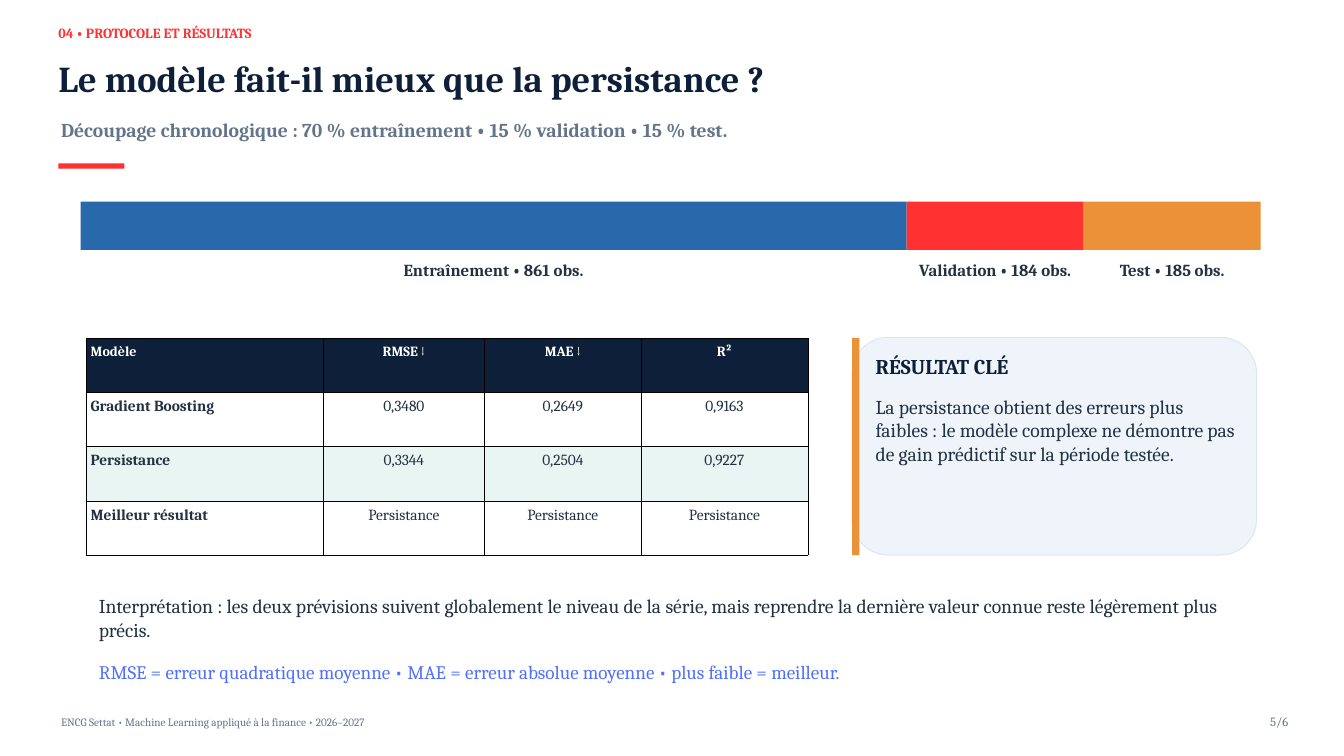
from pptx import Presentation
from pptx.dml.color import RGBColor
from pptx.enum.shapes import MSO_SHAPE
from pptx.enum.text import MSO_ANCHOR, MSO_AUTO_SIZE, PP_ALIGN
from pptx.oxml import parse_xml
from pptx.oxml.ns import nsdecls
from pptx.util import Inches, Pt

LEFT, CENTER, RIGHT = PP_ALIGN.LEFT, PP_ALIGN.CENTER, PP_ALIGN.RIGHT
TOP = MSO_ANCHOR.TOP
FIT = MSO_AUTO_SIZE.SHAPE_TO_FIT_TEXT
RECT, ROUNDED = MSO_SHAPE.RECTANGLE, MSO_SHAPE.ROUNDED_RECTANGLE
FONT = "Cambria"

COLORS = {
    "navy": "0D1F39", "ink": "233142", "grey": "64748B", "red": "FF3131",
    "blue": "2769AA", "orange": "EB9137", "note": "5170FF", "white": "FFFFFF",
    "mint": "E8F5F2", "card": "EEF4F9", "card_line": "DDE7F0", "black": "000000",
}

TITLE = "Le modèle fait-il mieux que la persistance ?"
TEXTS = [
    ("04 • PROTOCOLE ET RÉSULTATS", (0.87, 0.37, 16.43, 0.29), 15, "red", True, LEFT),
    ("Découpage chronologique : 70 % entraînement • 15 % validation • 15 % test.",
     (0.91, 1.76, 17.93, 0.4), 21, "grey", True, LEFT),
    ("RÉSULTAT CLÉ", (13.03, 5.26, 2.43, 0.43), 22.5, "navy", True, LEFT),
    ("La persistance obtient des erreurs plus faibles : le modèle complexe "
     "ne démontre pas de gain prédictif sur la période testée.",
     (13.03, 5.87, 5.4, 1.08), 21, "ink", False, LEFT),
    ("Interprétation : les deux prévisions suivent globalement le niveau de la série, "
     "mais reprendre la dernière valeur connue reste légèrement plus précis.",
     (1.47, 8.84, 16.88, 0.74), 21, "ink", False, LEFT),
    ("RMSE = erreur quadratique moyenne • MAE = erreur absolue moyenne • "
     "plus faible = meilleur.", (1.47, 9.82, 17.18, 0.39), 20.5, "note", False, LEFT),
    ("ENCG Settat • Machine Learning appliqué à la finance • 2026–2027",
     (0.91, 10.64, 14.93, 0.23), 12, "grey", False, LEFT),
    ("5/6", (18.67, 10.63, 0.5, 0.26), 13.5, "grey", False, RIGHT),
]
SPLIT = [
    ("Entraînement • 861 obs.", 0.70, "blue"),
    ("Validation • 184 obs.", 0.15, "red"),
    ("Test • 185 obs.", 0.15, "orange"),
]
SPLIT_LEFT, SPLIT_WIDTH, LABEL_INSET = 1.2, 17.56, 0.04
RESULTS = [
    ("Modèle", "RMSE ↓", "MAE ↓", "R²"),
    ("Gradient Boosting", "0,3480", "0,2649", "0,9163"),
    ("Persistance", "0,3344", "0,2504", "0,9227"),
    ("Meilleur résultat", "Persistance", "Persistance", "Persistance"),
]
ROW_FILLS = ["navy", "white", "mint", "white"]
COL_WIDTHS = [3.53, 2.4, 2.33, 2.48]
TABLE_BOX = (1.28, 5.03, sum(COL_WIDTHS), 3.23)


def rgb(name):
    return RGBColor.from_string(COLORS[name])


def inches(box):
    return [Inches(v) for v in box]


def write(tf, text, size, color, bold, align):
    p = tf.paragraphs[0]
    p.alignment = align
    p.line_spacing = Pt(size * 1.2)
    r = p.add_run()
    r.text = text
    r.font.name, r.font.size, r.font.bold = FONT, Pt(size), bold
    r.font.color.rgb = rgb(color)


def fill_box(sp, text, size, color, bold, align):
    tf = sp.text_frame
    tf.word_wrap, tf.auto_size, tf.vertical_anchor = True, FIT, TOP
    tf.margin_left = tf.margin_right = tf.margin_top = tf.margin_bottom = 0
    write(tf, text, size, color, bold, align)


def add_text(s, text, box, *style):
    fill_box(s.shapes.add_textbox(*inches(box)), text, *style)


def add_block(s, kind, box, fill, line=None):
    sp = s.shapes.add_shape(kind, *inches(box))
    sp.shadow.inherit = False
    sp.fill.solid()
    sp.fill.fore_color.rgb = rgb(fill)
    if line:
        sp.line.color.rgb = rgb(line)
        sp.line.width = Pt(1.13)
    else:
        sp.line.fill.background()


def add_borders(cell):
    tcPr = cell._tc.get_or_add_tcPr()
    for side in ("lnL", "lnR", "lnT", "lnB"):
        tcPr.append(parse_xml(
            f'<a:{side} {nsdecls("a")} w="{Pt(0.37)}"><a:solidFill>'
            f'<a:srgbClr val="{COLORS["black"]}"/></a:solidFill></a:{side}>'))


def add_results(s):
    table = s.shapes.add_table(len(RESULTS), len(COL_WIDTHS), *inches(TABLE_BOX)).table
    for col, width in zip(table.columns, COL_WIDTHS):
        col.width = Inches(width)
    for i, (row, fill) in enumerate(zip(RESULTS, ROW_FILLS)):
        size, color = (15, "white") if i == 0 else (16.5, "ink")
        for j, text in enumerate(row):
            cell = table.cell(i, j)
            cell.margin_left = cell.margin_right = Inches(0.07)
            cell.margin_top = cell.margin_bottom = Inches(0.07)
            cell.vertical_anchor = TOP
            add_borders(cell)
            cell.fill.solid()
            cell.fill.fore_color.rgb = rgb(fill)
            write(cell.text_frame, text, size, color, i == 0 or j == 0,
                  CENTER if j else LEFT)


def add_split(s):
    left = SPLIT_LEFT
    for label, share, color in SPLIT:
        width = SPLIT_WIDTH * share
        add_block(s, RECT, (left, 3, width, 0.72), color)
        add_text(s, label, (left + LABEL_INSET, 3.87, width - 2 * LABEL_INSET, 0.33),
                 18, "ink", True, CENTER)
        left += width


def main():
    prs = Presentation()
    prs.slide_width, prs.slide_height = Inches(20), Inches(11.25)
    s = prs.slides.add_slide(prs.slide_layouts[5])
    title = s.shapes.title
    title.left, title.top, title.width, title.height = inches((0.87, 0.83, 17.93, 0.73))
    fill_box(title, TITLE, 39, "navy", True, LEFT)
    add_block(s, RECT, (0.87, 2.43, 0.98, 0.08), "red")
    add_split(s)
    add_results(s)
    add_block(s, ROUNDED, (12.68, 5.02, 6.02, 3.24), "card", "card_line")
    add_block(s, RECT, (12.68, 5.03, 0.11, 3.23), "orange")
    for item in TEXTS:
        add_text(s, *item)
    prs.save("out.pptx")


if __name__ == "__main__":
    main()
